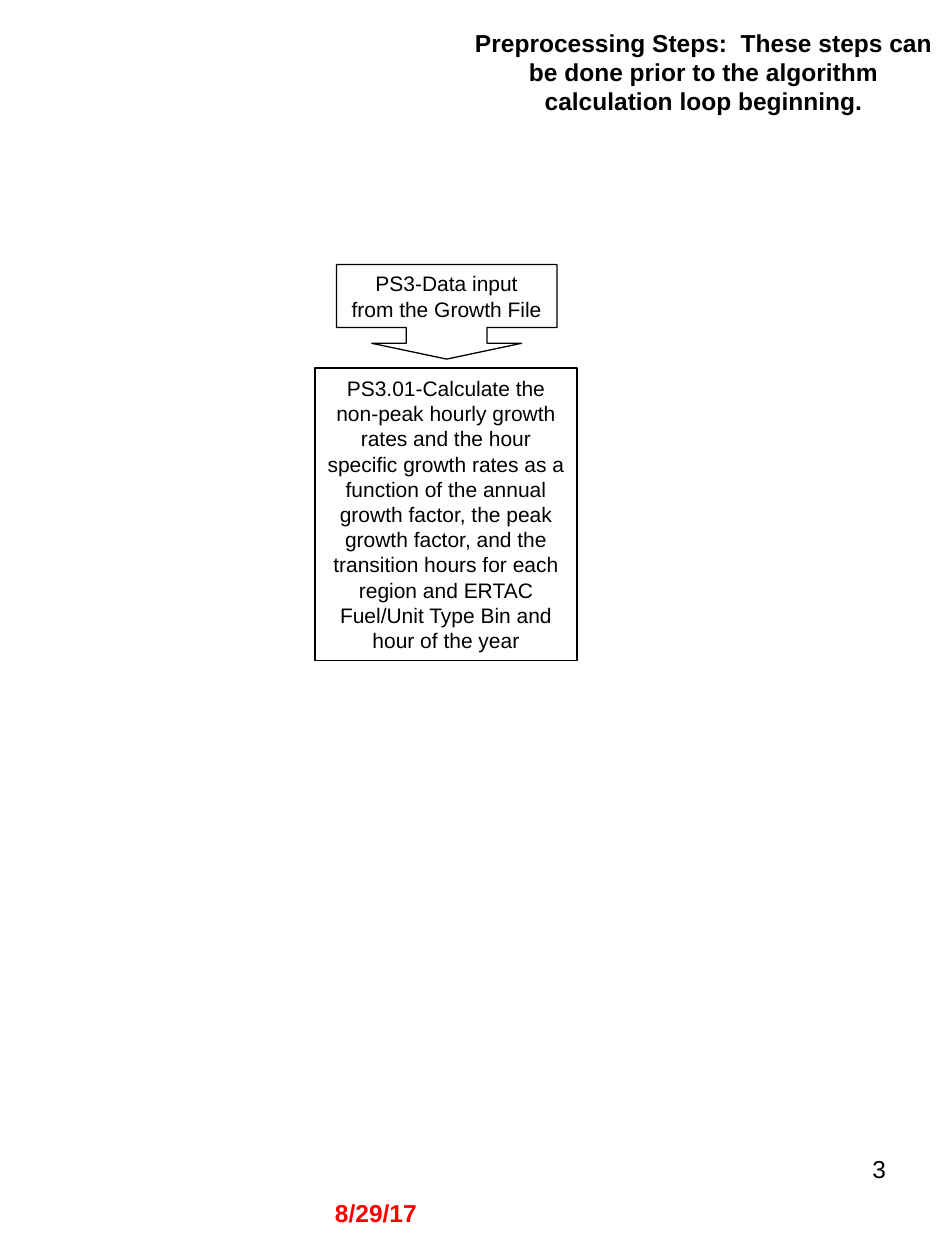
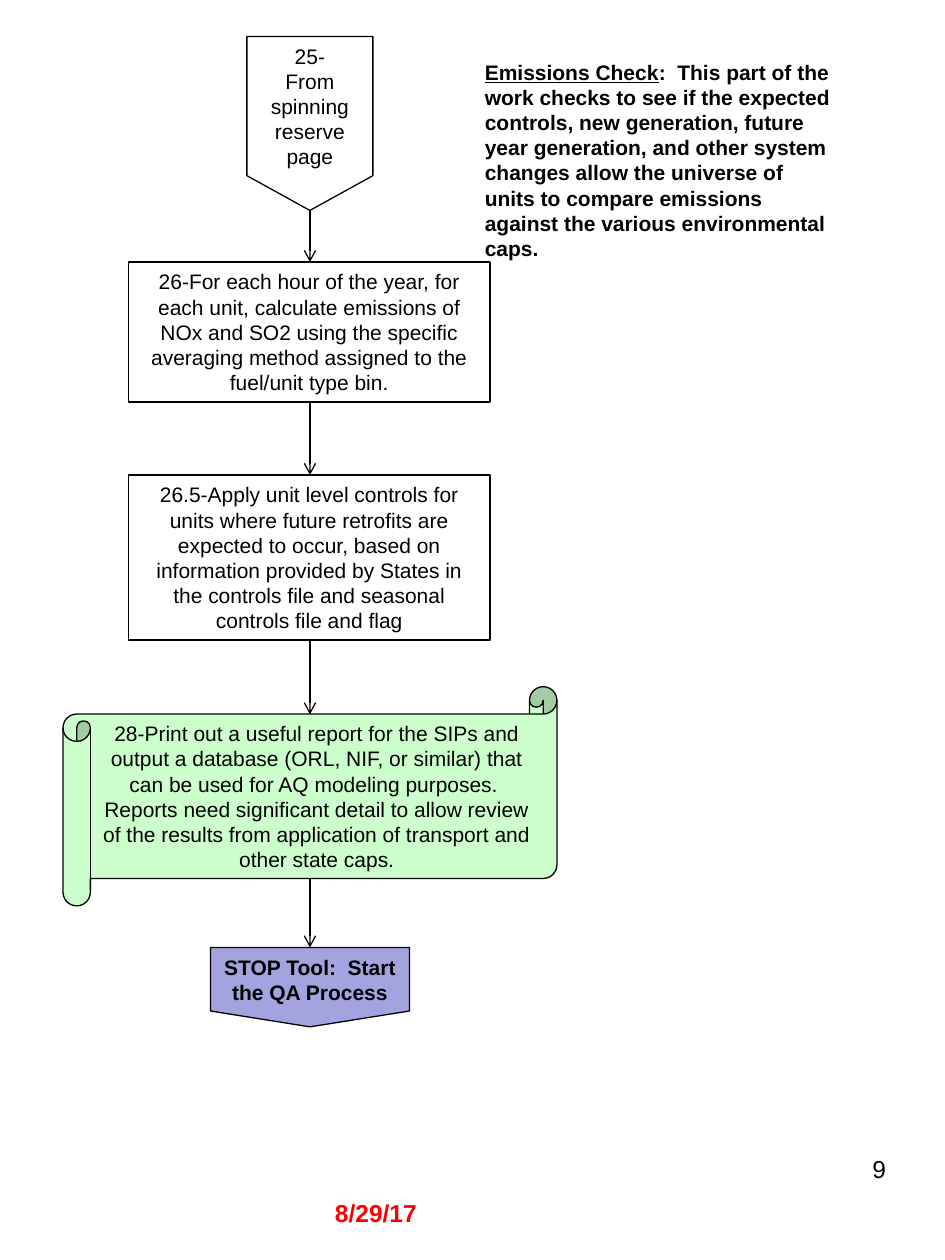
from lxml import etree
from pptx import Presentation
from pptx import util as u
from pptx.dml import color
from pptx.enum import shapes, text
from pptx.oxml import ns

INK, RED, GREEN, LILAC = "000000", "FF0000", "CCFFCC", "A3A3E0"
FONT = "Arial"
BODY, LARGE = 12, 14
AXIS = 2.46  # centre line of the flow on the emissions slide
DATE = "8/29/17"
KIND = shapes.MSO_SHAPE
LEFT, MID, RIGHT = text.PP_ALIGN.LEFT, text.PP_ALIGN.CENTER, text.PP_ALIGN.RIGHT


def rgb(code):
    """Turn a hex string into a colour."""
    return color.RGBColor.from_string(code)


def write(frame, lines, align, size=BODY, bold=False, tint=INK):
    """Write lines as paragraphs; a line is a list of (words, underlined)."""
    frame.word_wrap = True
    for i, line in enumerate(lines):
        para = frame.paragraphs[0] if i == 0 else frame.add_paragraph()
        para.alignment = align
        font = para.font
        font.name, font.size, font.bold = FONT, u.Pt(size), bold
        font.color.rgb = rgb(tint)
        for words, under in line:
            run = para.add_run()
            run.text = words
            if under:
                run.font.underline = True


def plain(*lines):
    """Make lines that hold one run each."""
    return [[(line, False)] for line in lines]


def label(slide, box, lines, align=LEFT, **style):
    """Add a text box."""
    item = slide.shapes.add_textbox(*map(u.Inches, box))
    write(item.text_frame, lines, align, **style)


def step(slide, kind, box, lines, fill=None, bold=False, adjust=()):
    """Add an outlined flow step with centred text."""
    item = slide.shapes.add_shape(kind, *map(u.Inches, box))
    item.shadow.inherit = False
    for i, value in enumerate(adjust):
        item.adjustments[i] = value
    if fill:
        item.fill.solid()
        item.fill.fore_color.rgb = rgb(fill)
    else:
        item.fill.background()
    item.line.color.rgb = rgb(INK)
    item.line.width = u.Pt(0.75)
    item.text_frame.vertical_anchor = text.MSO_ANCHOR.MIDDLE
    write(item.text_frame, plain(*lines), MID, bold=bold)


def arrow(slide, top, end):
    """Add a downward arrow on the flow axis."""
    item = slide.shapes.add_connector(
        shapes.MSO_CONNECTOR.STRAIGHT,
        *map(u.Inches, (AXIS, top, AXIS, end)))
    item.line.color.rgb = rgb(INK)
    item.line.width = u.Pt(0.75)
    props = item._element.spPr
    head = etree.SubElement(props.find(ns.qn("a:ln")), ns.qn("a:tailEnd"))
    head.set("type", "arrow")
    etree.SubElement(props, ns.qn("a:effectLst"))


def page(deck, number):
    """Add a blank slide with its page number and date."""
    slide = deck.slides.add_slide(deck.slide_layouts[6])
    label(slide, (5.38, 9.11, 1.75, 0.69), plain(number), RIGHT, size=LARGE)
    label(slide, (2.56, 9.46, 2.38, 0.34), plain(DATE),
          size=LARGE, bold=True, tint=RED)
    return slide


def growth(deck):
    """Build the preprocessing slide."""
    slide = page(deck, "3")
    step(slide, KIND.RECTANGLE, (2.5, 2.92, 2.08, 2.32), [
        "PS3.01-Calculate the non-peak hourly growth rates and the hour "
        "specific growth rates as a function of the annual growth factor, "
        "the peak growth factor, and the transition hours for each region "
        "and ERTAC Fuel/Unit Type Bin and hour of the year"])
    step(slide, KIND.DOWN_ARROW_CALLOUT, (2.67, 2.1, 1.75, 0.75),
         ["PS3-Data input", "from the Growth File"],
         adjust=(0.854, 0.793, 0.167, 0.667))
    label(slide, (3.67, 0.17, 3.83, 0.81), plain(
        "Preprocessing Steps:  These steps can be done prior to the "
        "algorithm calculation loop beginning."), MID, size=LARGE, bold=True)


def checks(deck):
    """Build the emissions check slide."""
    slide = page(deck, "9")
    label(slide, (3.75, 0.42, 3, 1.72), [[
        ("Emissions Check", True),
        (":  This part of the work checks to see if the expected controls, "
         "new generation, future year generation, and other system changes "
         "allow the universe of units to compare emissions against the "
         "various environmental caps.", False)]], bold=True)
    step(slide, KIND.FLOWCHART_OFFPAGE_CONNECTOR, (1.96, 0.29, 1, 1.38),
         ["25-", "From spinning reserve page"])
    step(slide, KIND.FLOWCHART_PROCESS, (1.02, 2.08, 2.87, 1.11), [
        "26-For each hour of the year, for each unit, calculate emissions of",
        "NOx and SO2 using the specific averaging method assigned to the "
        "fuel/unit type bin."])
    step(slide, KIND.RECTANGLE, (1.02, 3.77, 2.87, 1.31), [
        "26.5-Apply unit level controls for units where future retrofits "
        "are expected to occur, based on information provided by States in "
        "the controls file and seasonal controls file and flag"])
    step(slide, KIND.HORIZONTAL_SCROLL, (0.5, 5.45, 3.92, 1.74), [
        "28-Print out a useful report for the SIPs and output a database "
        "(ORL, NIF, or similar) that can be used for AQ modeling purposes.  "
        "Reports need significant detail to allow review of the results "
        "from application of transport and other state caps."],
        fill=GREEN, adjust=(0.125,))
    step(slide, KIND.FLOWCHART_OFFPAGE_CONNECTOR, (1.67, 7.52, 1.58, 0.63),
         ["STOP Tool:  Start the QA Process"], fill=LILAC, bold=True)
    for top, end in ((1.67, 2.08), (3.19, 3.77), (5.08, 5.67), (6.98, 7.52)):
        arrow(slide, top, end)


def main():
    """Build and save the deck."""
    deck = Presentation()
    deck.slide_width, deck.slide_height = u.Inches(7.5), u.Inches(10)
    growth(deck)
    checks(deck)
    deck.save("out.pptx")


main()
